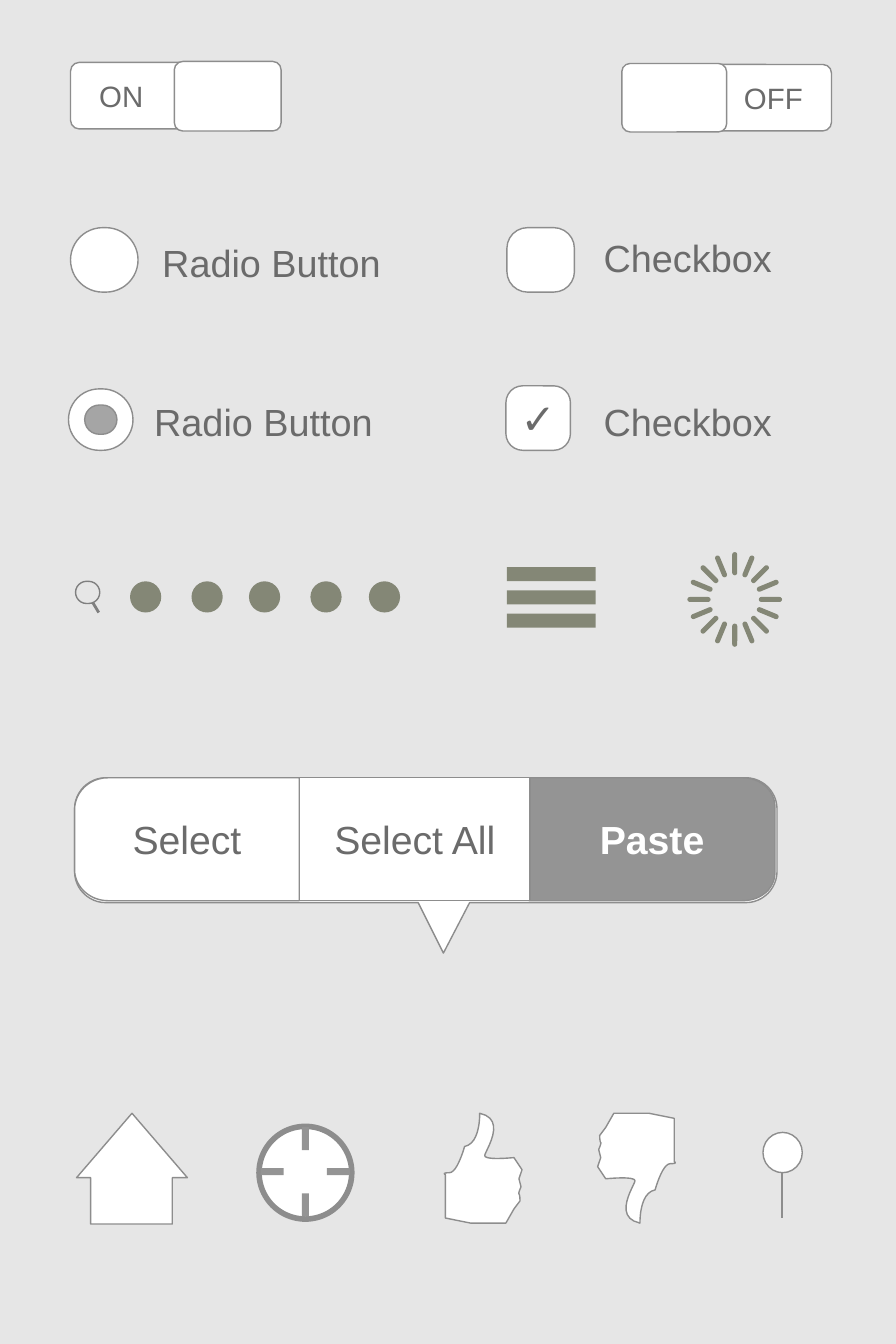
"""Build a slide of wireframe interface controls and icons."""
from dataclasses import dataclass
from math import cos, radians, sin

from lxml import etree
from pptx import Presentation
from pptx.dml.color import RGBColor
from pptx.enum.shapes import MSO_CONNECTOR, MSO_SHAPE
from pptx.enum.text import MSO_ANCHOR, PP_ALIGN
from pptx.oxml.ns import qn
from pptx.util import Inches, Pt

LEFT, CENTER, RIGHT = PP_ALIGN.LEFT, PP_ALIGN.CENTER, PP_ALIGN.RIGHT
MIDDLE = MSO_ANCHOR.MIDDLE
STRAIGHT = MSO_CONNECTOR.STRAIGHT
OVAL, RECTANGLE = MSO_SHAPE.OVAL, MSO_SHAPE.RECTANGLE
ROUNDED = MSO_SHAPE.ROUNDED_RECTANGLE


@dataclass(frozen=True)
class Theme:
    """Colours, font and type sizes."""
    font: str = "Arial"
    background: str = "E6E6E6"
    white: str = "FFFFFF"
    outline: str = "8D8D8D"
    text: str = "6B6B6B"
    active: str = "949494"
    dot: str = "A5A5A5"
    olive: str = "848776"
    search: str = "7F7F7F"
    toggle_size: int = 21
    label_size: int = 27
    menu_size: int = 28
    check_size: int = 30


THEME = Theme()
SLIDE_SIZE = (8.89, 13.34)

TOGGLES = [
    ("ON", LEFT, (0.7, 0.62, 2.08, 0.66), (1.73, 0.61, 1.06, 0.69)),
    ("OFF", RIGHT, (6.17, 0.64, 2.08, 0.66), (6.17, 0.63, 1.04, 0.68)),
]
CHOICES = [
    ((0.7, 2.26, 0.67, 0.64), 0.5, ""),
    ((5.03, 2.26, 0.67, 0.64), 0.32, ""),
    ((0.68, 3.86, 0.64, 0.61), 0.5, ""),
    ((5.02, 3.83, 0.64, 0.64), 0.26, "✓"),
]
RADIO_DOT = (0.84, 4.02, 0.32, 0.29)
LABELS = [
    ("Radio Button", (1.55, 2.29, 2.75, 0.63)),
    ("Radio Button", (1.47, 3.87, 2.75, 0.62)),
    ("Checkbox", (5.93, 2.03, 2.58, 1.06)),
    ("Checkbox", (5.93, 3.65, 2.58, 1.06)),
]

PASSCODE_LEFTS = [1.29, 1.9, 2.47, 3.08, 3.66]
PASSCODE_TOP, PASSCODE_SIZE = 5.77, 0.31
LENS = (0.75, 5.77, 0.24, 0.22)
LENS_HANDLE = (0.92, 5.98, 0.98, 6.08)
MENU_BAR, MENU_BAR_STEP, MENU_BAR_COUNT = (5.03, 5.63, 0.88, 0.14), 0.23, 3
SPINNER_CENTRE, SPINNER_RADIUS, SPINNER_COUNT = (7.29, 5.95), 0.355, 16
SPOKE = (0.23, 0.05)

POPOVER = [
    (1.05, 7.72), (0.88, 7.72, 0.74, 7.86, 0.74, 8.03), (0.74, 8.65),
    (0.74, 8.82, 0.88, 8.96, 1.05, 8.96), (4.15, 8.96), (4.4, 9.46),
    (4.66, 8.96), (7.4, 8.96), (7.57, 8.96, 7.71, 8.82, 7.71, 8.65),
    (7.71, 8.03), (7.71, 7.86, 7.57, 7.72, 7.4, 7.72),
]
PASTE = [
    (5.25, 7.72), (7.37, 7.72), (7.55, 7.72, 7.69, 7.85, 7.69, 8.01),
    (7.69, 8.66), (7.69, 8.82, 7.55, 8.94, 7.37, 8.94), (5.25, 8.94),
]
SELECT_ALL = [(2.97, 7.72), (5.26, 7.72), (5.26, 8.94), (2.97, 8.94)]
SELECT = [
    (0.74, 8.63), (0.74, 8.04), (0.74, 7.86, 0.89, 7.72, 1.07, 7.72),
    (2.97, 7.72), (2.97, 8.94), (1.07, 8.94),
    (0.89, 8.94, 0.74, 8.8, 0.74, 8.63),
]
MENU = [
    ("Paste", PASTE, THEME.active, THEME.white, True),
    ("Select All", SELECT_ALL, THEME.white, THEME.text, False),
    ("Select", SELECT, THEME.white, THEME.text, False),
]

HOUSE = [(1.71, 11.69), (1.86, 11.69), (1.31, 11.05), (0.76, 11.69),
         (0.9, 11.69), (0.9, 12.15), (1.71, 12.15)]
TARGET = (2.57, 11.18, 0.92, 0.92)
TARGET_CENTRE, TARGET_RADIUS, TICK = (3.03, 11.63), 0.33, (0.23, 0.07)
THUMB = [
    (4.42, 11.66), (4.42, 12.09), (4.67, 12.14), (5.02, 12.14), (5.1, 12),
    (5.16, 11.92), (5.16, 11.92, 5.16, 11.86, 5.15, 11.85),
    (5.14, 11.85, 5.17, 11.78, 5.17, 11.78), (5.15, 11.7), (5.18, 11.61),
    (5.1, 11.49), (5.1, 11.49, 4.81, 11.52, 4.81, 11.47),
    (4.81, 11.43, 5.04, 11.11, 4.76, 11.05),
    (4.76, 11.05, 4.77, 11.35, 4.61, 11.38),
    (4.61, 11.38, 4.54, 11.64, 4.46, 11.64),
    (4.38, 11.64, 4.42, 11.66, 4.42, 11.66),
]
THUMBS = [(0, 0), (1.52, 180)]
PIN_HEAD = (7.57, 11.24, 0.39, 0.4)
PIN_STEM = (7.76, 11.64, 7.76, 12.09)


def paint(shape, fill=THEME.white, line=THEME.outline, weight=1):
    """Set the fill and outline, where None means none."""
    shape.shadow.inherit = False
    for target, color in ((shape.fill, fill), (shape.line.fill, line)):
        if color:
            target.solid()
            target.fore_color.rgb = RGBColor.from_string(color)
        else:
            target.background()
    if line:
        shape.line.width = Pt(weight)
    return shape


def write(box, text, size, color=THEME.text, bold=False, align=CENTER, inset=0.06):
    """Put one formatted line of text in a box."""
    frame = box.text_frame
    frame.text = text
    frame.word_wrap = True
    frame.vertical_anchor = MIDDLE
    frame.margin_left = frame.margin_right = Inches(inset)
    frame.margin_top = frame.margin_bottom = Inches(0.06)
    para = frame.paragraphs[0]
    para.alignment = align
    font = para.runs[0].font
    font.name, font.size, font.bold = THEME.font, Pt(size), bold
    font.color.rgb = RGBColor.from_string(color)


def add_preset(page, kind, place, corner=None, **style):
    """Add a painted preset shape."""
    shape = page.shapes.add_shape(kind, *map(Inches, place))
    if corner is not None:
        shape.adjustments[0] = corner
    return paint(shape, **style)


def flatten(path, steps=12):
    """Turn lines and cubic curves into a list of points."""
    points = [path[0]]
    for part in path[1:]:
        if len(part) == 2:
            points.append(part)
            continue
        curve = [points[-1], part[:2], part[2:4], part[4:]]
        for step in range(1, steps + 1):
            t = step / steps
            weights = ((1 - t) ** 3, 3 * t * (1 - t) ** 2, 3 * t * t * (1 - t), t ** 3)
            points.append(tuple(sum(w * point[axis] for w, point in zip(weights, curve))
                                for axis in (0, 1)))
    return points


def add_outline(page, path, shift=0, **style):
    """Add a painted closed freeform."""
    points = [(Inches(x + shift), Inches(y)) for x, y in flatten(path)]
    builder = page.shapes.build_freeform(*points[0])
    builder.add_line_segments(points[1:], close=True)
    return paint(builder.convert_to_shape(), **style)


def add_line(page, ends, color, weight):
    """Add a straight line without a shadow."""
    line = page.shapes.add_connector(STRAIGHT, *map(Inches, ends))
    line.line.color.rgb = RGBColor.from_string(color)
    line.line.width = Pt(weight)
    etree.SubElement(line._element.spPr, qn("a:effectLst"))


def add_spokes(page, kind, centre, radius, count, size, fill, corner=None):
    """Place bars evenly around a circle, each pointing outwards."""
    width, height = size
    for index in range(count):
        angle = 360 * index / count
        x = centre[0] + radius * cos(radians(angle))
        y = centre[1] + radius * sin(radians(angle))
        place = (x - width / 2, y - height / 2, width, height)
        add_preset(page, kind, place, corner, fill=fill, line=None).rotation = angle


def add_controls(page):
    """Draw the toggles, radio buttons and checkboxes."""
    for text, align, track, knob in TOGGLES:
        box = add_preset(page, ROUNDED, track, 0.13)
        write(box, text, THEME.toggle_size, align=align, inset=0.26)
        add_preset(page, ROUNDED, knob, 0.12)
    for place, corner, mark in CHOICES:
        box = add_preset(page, ROUNDED, place, corner)
        if mark:
            write(box, mark, THEME.check_size, bold=True, inset=0)
    add_preset(page, ROUNDED, RADIO_DOT, 0.5, fill=THEME.dot)
    for text, place in LABELS:
        box = page.shapes.add_textbox(*map(Inches, place))
        write(box, text, THEME.label_size, align=LEFT)


def add_indicators(page):
    """Draw the search icon, passcode dots, menu bars and spinner."""
    for left in PASSCODE_LEFTS:
        place = (left, PASSCODE_TOP, PASSCODE_SIZE, PASSCODE_SIZE)
        add_preset(page, OVAL, place, fill=THEME.olive, line=None)
    add_preset(page, ROUNDED, LENS, 0.5, fill=None, line=THEME.search)
    add_line(page, LENS_HANDLE, THEME.search, 2)
    left, top, width, height = MENU_BAR
    for index in range(MENU_BAR_COUNT):
        place = (left, top + index * MENU_BAR_STEP, width, height)
        add_preset(page, RECTANGLE, place, fill=THEME.olive, line=None)
    add_spokes(page, ROUNDED, SPINNER_CENTRE, SPINNER_RADIUS, SPINNER_COUNT,
               SPOKE, THEME.olive, 0.5)


def add_menu(page):
    """Draw the popover menu."""
    add_outline(page, POPOVER)
    for text, path, fill, color, bold in MENU:
        write(add_outline(page, path, fill=fill), text, THEME.menu_size, color, bold)


def add_icons(page):
    """Draw the bottom row of icons."""
    add_outline(page, HOUSE)
    add_preset(page, OVAL, TARGET, weight=4)
    add_spokes(page, RECTANGLE, TARGET_CENTRE, TARGET_RADIUS, 4, TICK, THEME.active)
    for shift, rotation in THUMBS:
        add_outline(page, THUMB, shift).rotation = rotation
    add_preset(page, OVAL, PIN_HEAD)
    add_line(page, PIN_STEM, THEME.outline, 1)


def main():
    """Build and save the deck."""
    deck = Presentation()
    deck.slide_width, deck.slide_height = map(Inches, SLIDE_SIZE)
    page = deck.slides.add_slide(deck.slide_layouts[6])
    page.background.fill.solid()
    page.background.fill.fore_color.rgb = RGBColor.from_string(THEME.background)
    for add_part in (add_controls, add_indicators, add_menu, add_icons):
        add_part(page)
    deck.save("out.pptx")


if __name__ == "__main__":
    main()
